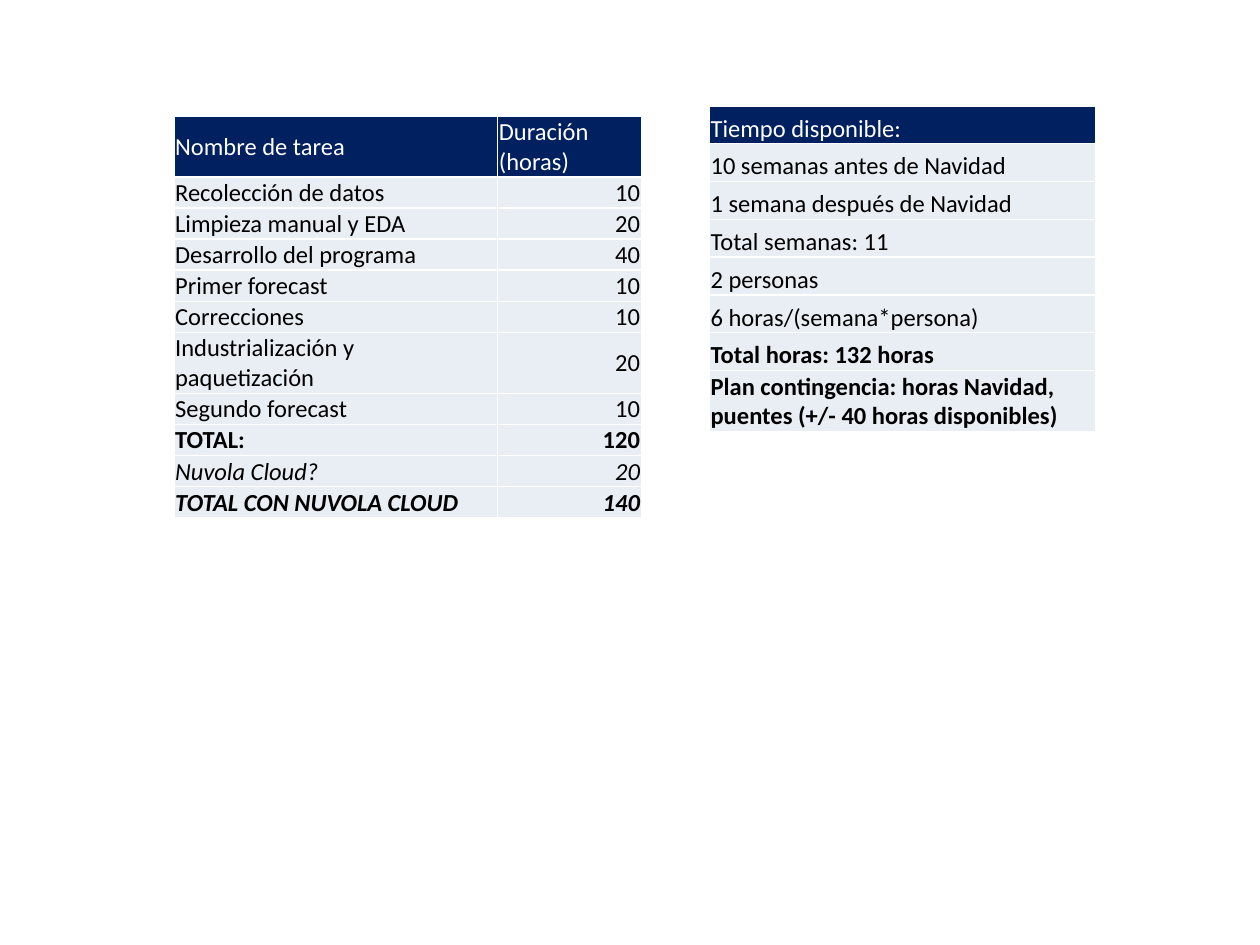
from lxml.etree import SubElement
from pptx import Presentation
from pptx.dml.color import RGBColor
from pptx.enum.text import MSO_ANCHOR, PP_ALIGN
from pptx.oxml.ns import qn
from pptx.util import Inches, Pt


def color(value):
    return RGBColor.from_string(value)


def add_borders(cell):
    tcPr = cell._tc.get_or_add_tcPr()
    for side in ("lnL", "lnR", "lnT", "lnB"):
        ln = SubElement(tcPr, qn(f"a:{side}"), w=str(Pt(1)))
        fill = SubElement(ln, qn("a:solidFill"))
        SubElement(fill, qn("a:srgbClr"), val="FFFFFF")


prs = Presentation()
prs.slide_width, prs.slide_height = Inches(10), Inches(7.5)
s = prs.slides.add_slide(prs.slide_layouts[6])

tasks = [
    ("Nombre de tarea", "Duración (horas)"),
    ("Recolección de datos", "10"),
    ("Limpieza manual y EDA", "20"),
    ("Desarrollo del programa", "40"),
    ("Primer forecast", "10"),
    ("Correcciones", "10"),
    ("Industrialización y paquetización", "20"),
    ("Segundo forecast", "10"),
    ("TOTAL:", "120"),
    ("Nuvola Cloud?", "20"),
    ("TOTAL CON NUVOLA CLOUD", "140"),
]
time = [
    ("Tiempo disponible:",),
    ("10 semanas antes de Navidad",),
    ("1 semana después de Navidad",),
    ("Total semanas: 11",),
    ("2 personas",),
    ("6 horas/(semana*persona)",),
    ("Total horas: 132 horas",),
    ("Plan contingencia: horas Navidad, puentes (+/- 40 horas disponibles)",),
]
tables = [
    (tasks, 1.38, 0.92, [2.57, 1.14], 0.2, {0, 6}, MSO_ANCHOR.MIDDLE, {8, 10}, {9, 10}),
    (time, 5.63, 0.84, [3.07], 0.3, set(), MSO_ANCHOR.BOTTOM, {6, 7}, set()),
]

for rows, left, top, widths, height, double, anchor, bold, italic in tables:
    heights = [height * (2 if i in double else 1) for i in range(len(rows))]
    frame = s.shapes.add_table(len(rows), len(widths), Inches(left), Inches(top),
                               Inches(sum(widths)), Inches(sum(heights)))
    table = frame.table
    table.first_row = table.horz_banding = False
    for col, width in zip(table.columns, widths):
        col.width = Inches(width)
    for i, texts in enumerate(rows):
        table.rows[i].height = Inches(heights[i])
        for j, text in enumerate(texts):
            cell = table.cell(i, j)
            add_borders(cell)
            cell.fill.solid()
            cell.fill.fore_color.rgb = color("E9EDF4" if i else "002060")
            cell.margin_left = cell.margin_right = cell.margin_top = Inches(0.01)
            cell.margin_bottom = 0
            cell.vertical_anchor = anchor
            p = cell.text_frame.paragraphs[0]
            p.text = text
            p.alignment = PP_ALIGN.RIGHT if i and j else PP_ALIGN.LEFT
            font = p.runs[0].font
            font.name, font.size = "Calibri", Pt(14)
            font.bold, font.italic = i in bold, i in italic
            font.color.rgb = color("000000" if i else "FFFFFF")

prs.save("out.pptx")
